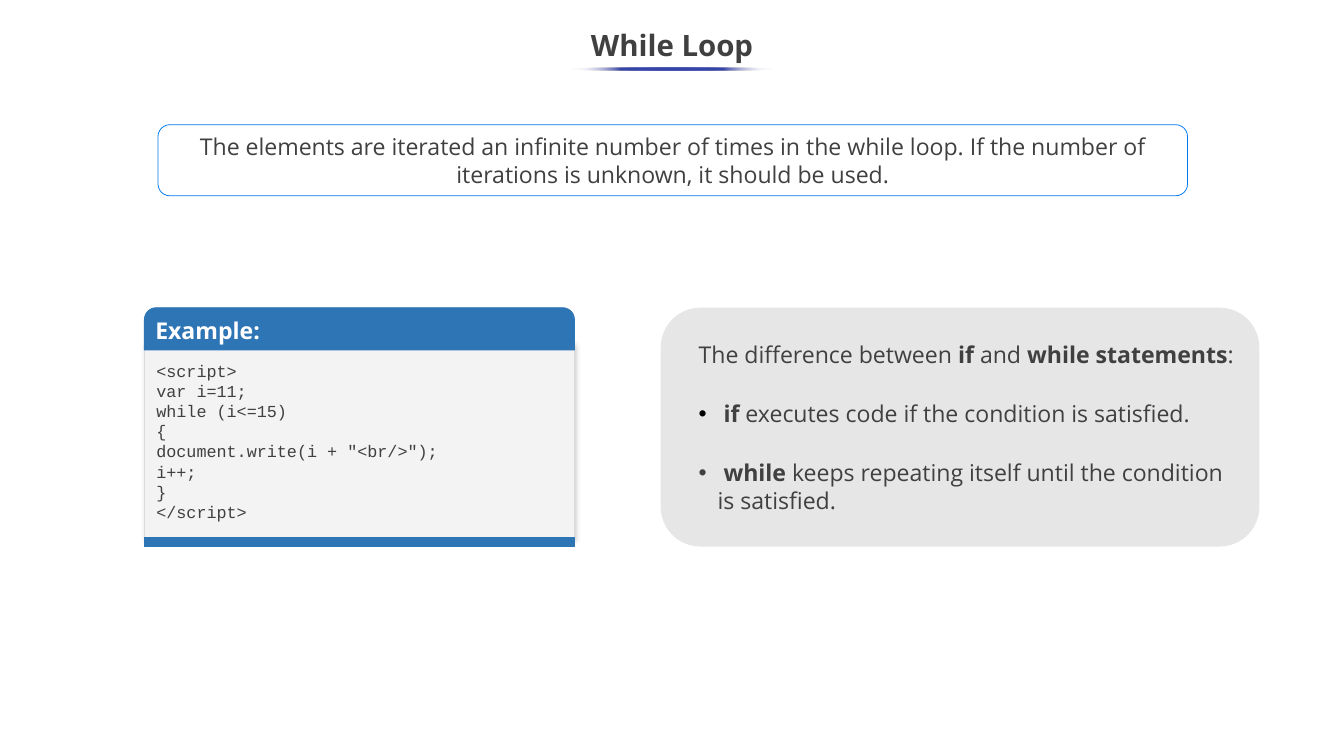
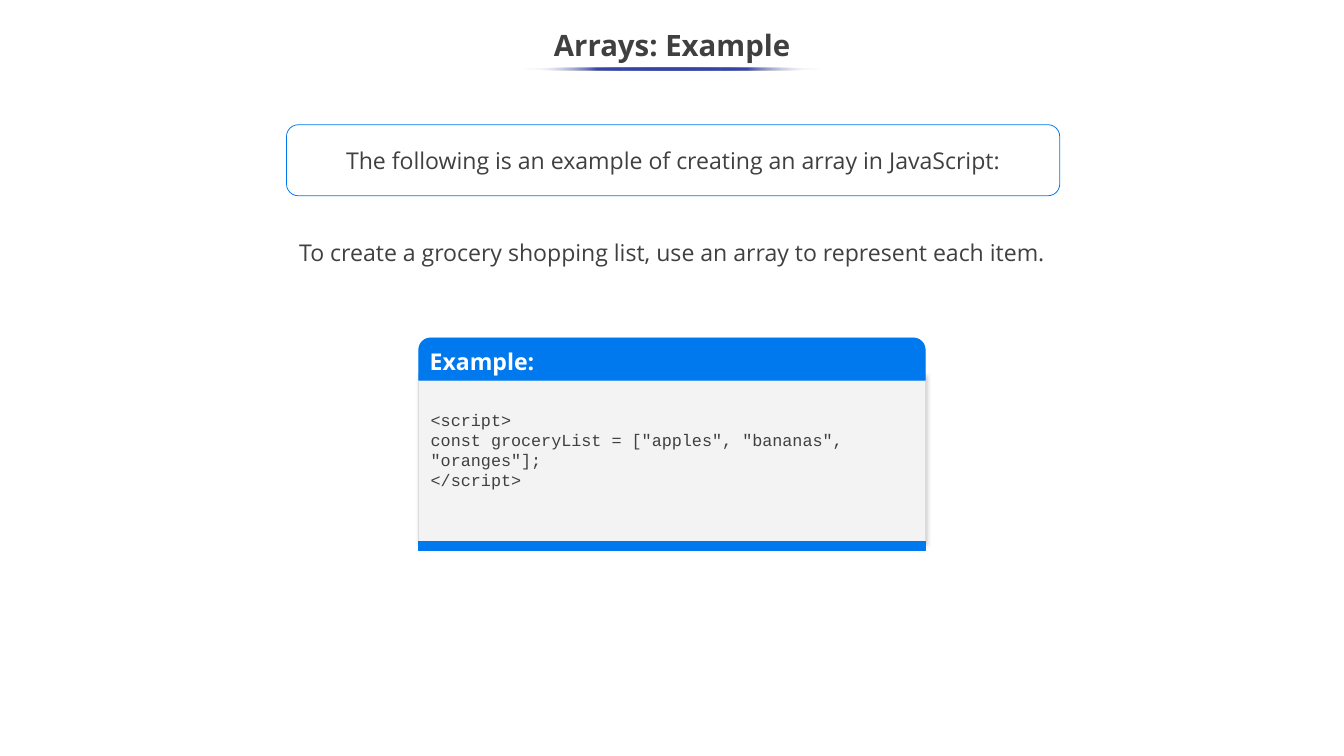
import dataclasses

import pptx
import pptx.dml.color
import pptx.enum.shapes
import pptx.enum.text
import pptx.oxml
import pptx.oxml.ns
import pptx.util

PX = 9144
SHAPE = pptx.enum.shapes.MSO_SHAPE
ALIGN = pptx.enum.text.PP_ALIGN
ANCHOR = pptx.enum.text.MSO_ANCHOR
qn = pptx.oxml.ns.qn


@dataclasses.dataclass(frozen=True)
class Theme:
    """Colours, fonts and type sizes shared by the slides."""
    ink: str = "404040"
    white: str = "FFFFFF"
    black: str = "000000"
    accent: str = "0078EE"
    steel: str = "2E75B5"
    underline: str = "3645A9"
    code_fill: str = "F3F3F3"
    code_line: str = "DBDBDB"
    panel_fill: str = "E7E6E6"
    font: str = "Open Sans"
    code_font: str = "Courier New"
    title_size: int = 28
    body_size: int = 22
    code_size: int = 16
    paragraph_gap: int = 30


THEME = Theme()


def emu(*lengths):
    """Turn px lengths into EMU."""
    return [length * PX for length in lengths]


def rgb(value):
    """Turn a hex string into a colour."""
    return pptx.dml.color.RGBColor.from_string(value)


def drawing_xml(tag, attributes="", inner=""):
    """Build one DrawingML element."""
    namespace = pptx.oxml.ns.nsdecls("a")
    return pptx.oxml.parse_xml(f"<a:{tag} {namespace} {attributes}>{inner}</a:{tag}>")


def style_font(font, size, color=THEME.ink, bold=False, name=THEME.font):
    """Apply typeface, size, weight and colour."""
    font.name, font.size, font.bold = name, pptx.util.Pt(size), bold
    font.color.rgb = rgb(color)


def style_text(frame, size, align=ALIGN.LEFT, anchor=ANCHOR.MIDDLE, spacing=1.0, **font):
    """Format every paragraph and run of a text frame."""
    frame.word_wrap = True
    frame.vertical_anchor = anchor
    for paragraph in frame.paragraphs:
        paragraph.alignment, paragraph.line_spacing = align, spacing
        for run in paragraph.runs:
            style_font(run.font, size, **font)


def add_block(shapes, kind, box, fill=None, line=None):
    """Add a preset shape with a plain fill and outline."""
    block = shapes.add_shape(kind, *emu(*box))
    block.shadow.inherit = False
    if fill:
        block.fill.solid()
        block.fill.fore_color.rgb = rgb(fill)
    else:
        block.fill.background()
    if line:
        block.line.color.rgb = rgb(line)
        block.line.width = pptx.util.Pt(0.75)
    else:
        block.line.fill.background()
    return block


def add_heading(slide, wording, underline_width):
    """Place the title and its fading underline."""
    title = slide.shapes.title
    title.left, title.top, title.width, title.height = emu(-1, 25, 1780, 75)
    title.text_frame.text = wording
    style_text(title.text_frame, THEME.title_size, ALIGN.CENTER, spacing=0.9, bold=True)

    underline = add_block(slide.shapes, SHAPE.OVAL,
                          (889 - underline_width // 2, 89, underline_width, 4))
    stops = "".join(
        f'<a:gs pos="{position}000"><a:srgbClr val="{color}">'
        f'<a:alpha val="{alpha}000"/></a:srgbClr></a:gs>'
        for position, color, alpha in [
            (0, THEME.white, 0), (25, THEME.underline, 100),
            (75, THEME.underline, 100), (100, THEME.white, 0)])
    properties = underline._element.spPr
    properties.replace(
        properties.find(qn("a:noFill")),
        drawing_xml("gradFill", inner=f'<a:gsLst>{stops}</a:gsLst><a:lin ang="10800000"/>'))


def add_statement(slide, box, wording, outline=None):
    """Place a centred statement, outlined when a colour is given."""
    statement = add_block(slide.shapes, SHAPE.ROUNDED_RECTANGLE, box, line=outline)
    frame = statement.text_frame
    frame.margin_top = frame.margin_bottom = 0
    frame.text = wording
    style_text(frame, THEME.body_size, ALIGN.CENTER)


def add_example(slide, box, color, code, code_top):
    """Place a code card with a header and a footer bar."""
    left, top, width, height = box
    card = slide.shapes.add_group_shape().shapes

    body = add_block(card, SHAPE.RECTANGLE, (left, top + 48, width, height - 57),
                     THEME.code_fill, THEME.code_line)
    body._element.spPr.find(qn("a:effectLst")).append(drawing_xml(
        "outerShdw", 'blurRad="57150" dist="19050" dir="2820000" algn="tl" rotWithShape="0"',
        f'<a:srgbClr val="{THEME.black}"><a:alpha val="20000"/></a:srgbClr>'))

    header = add_block(card, SHAPE.ROUND_2_SAME_RECTANGLE, (left, top, width, 56), color, color)
    header.adjustments[0] = 0.28
    header.text_frame.text = "Example:"
    style_text(header.text_frame, THEME.body_size, color=THEME.white, bold=True)

    listing = card.add_textbox(*emu(left + 6, top + code_top, width - 24,
                                    height - code_top - 20))
    listing.text_frame.text = code
    style_text(listing.text_frame, THEME.code_size, anchor=ANCHOR.TOP, name=THEME.code_font)

    add_block(card, SHAPE.RECTANGLE, (left, top + height - 12, width, 12), color, color)


def add_comparison(slide, box, points):
    """Place a grey panel of (bullet colour, weighted segments) paragraphs."""
    panel = add_block(slide.shapes, SHAPE.ROUNDED_RECTANGLE, box, THEME.panel_fill)
    frame = panel.text_frame
    for index, (bullet_color, segments) in enumerate(points):
        paragraph = frame.paragraphs[0] if index == 0 else frame.add_paragraph()
        properties = paragraph._p.get_or_add_pPr()
        properties.set("marL", str(50 * PX))
        properties.set("indent", str(-25 * PX))
        if bullet_color:
            properties.append(drawing_xml("buClr", inner=f'<a:srgbClr val="{bullet_color}"/>'))
            properties.append(drawing_xml("buFont", 'typeface="Arial"'))
            properties.append(drawing_xml("buChar", 'char="•"'))
        if index:
            paragraph.space_before = pptx.util.Pt(THEME.paragraph_gap)
        for wording, _ in segments:
            paragraph.add_run().text = wording
    style_text(frame, THEME.body_size)
    for paragraph, (_, segments) in zip(frame.paragraphs, points):
        for run, (_, bold) in zip(paragraph.runs, segments):
            run.font.bold = bold


def build_while_loop(slide):
    """Fill the while loop slide."""
    add_heading(slide, "While Loop", 268)
    add_statement(slide, (209, 165, 1362, 94),
                  "The elements are iterated an infinite number of times in the while loop. "
                  "If the number of iterations is unknown, it should be used.", THEME.accent)
    code = """<script>
var i=11;
while (i<=15)
{
document.write(i + "<br/>");
i++;
}
</script>"""
    add_example(slide, (191, 407, 569, 316), THEME.steel, code, 65)
    add_comparison(slide, (874, 407, 792, 316), [
        (None, [("The difference between ", False), ("if", True), (" and ", False),
                ("while statements", True), (":", False)]),
        (THEME.black, [(" if ", True), ("executes code if the condition is satisfied.", False)]),
        (THEME.ink, [(" while ", True),
                     ("keeps repeating itself until the condition is satisfied.", False)]),
    ])


def build_arrays(slide):
    """Fill the arrays example slide."""
    add_heading(slide, "Arrays: Example", 392)
    add_statement(slide, (379, 165, 1023, 94),
                  "The following is an example of creating an array in JavaScript:", THEME.accent)
    add_statement(slide, (199, 303, 1380, 61),
                  "To create a grocery shopping list, use an array to represent each item.")
    code = """<script>
const groceryList = ["apples", "bananas", "oranges"];
</script>"""
    add_example(slide, (554, 447, 670, 281), THEME.accent, code, 90)


def main():
    """Build and save the presentation."""
    deck = pptx.Presentation()
    deck.slide_width, deck.slide_height = emu(1778, 1000)
    title_only = deck.slide_layouts[5]
    for build in (build_while_loop, build_arrays):
        build(deck.slides.add_slide(title_only))
    deck.save("out.pptx")


if __name__ == "__main__":
    main()
